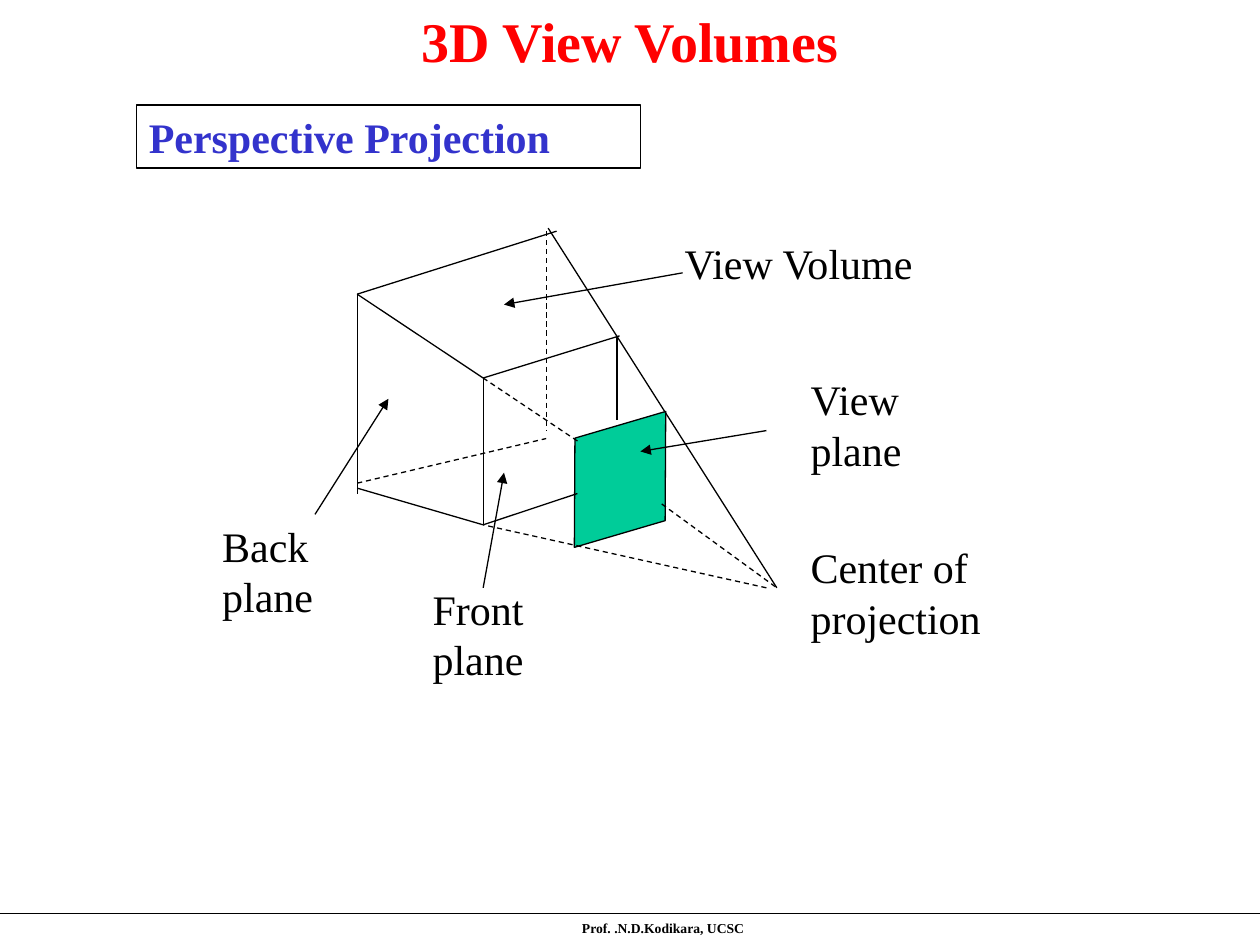
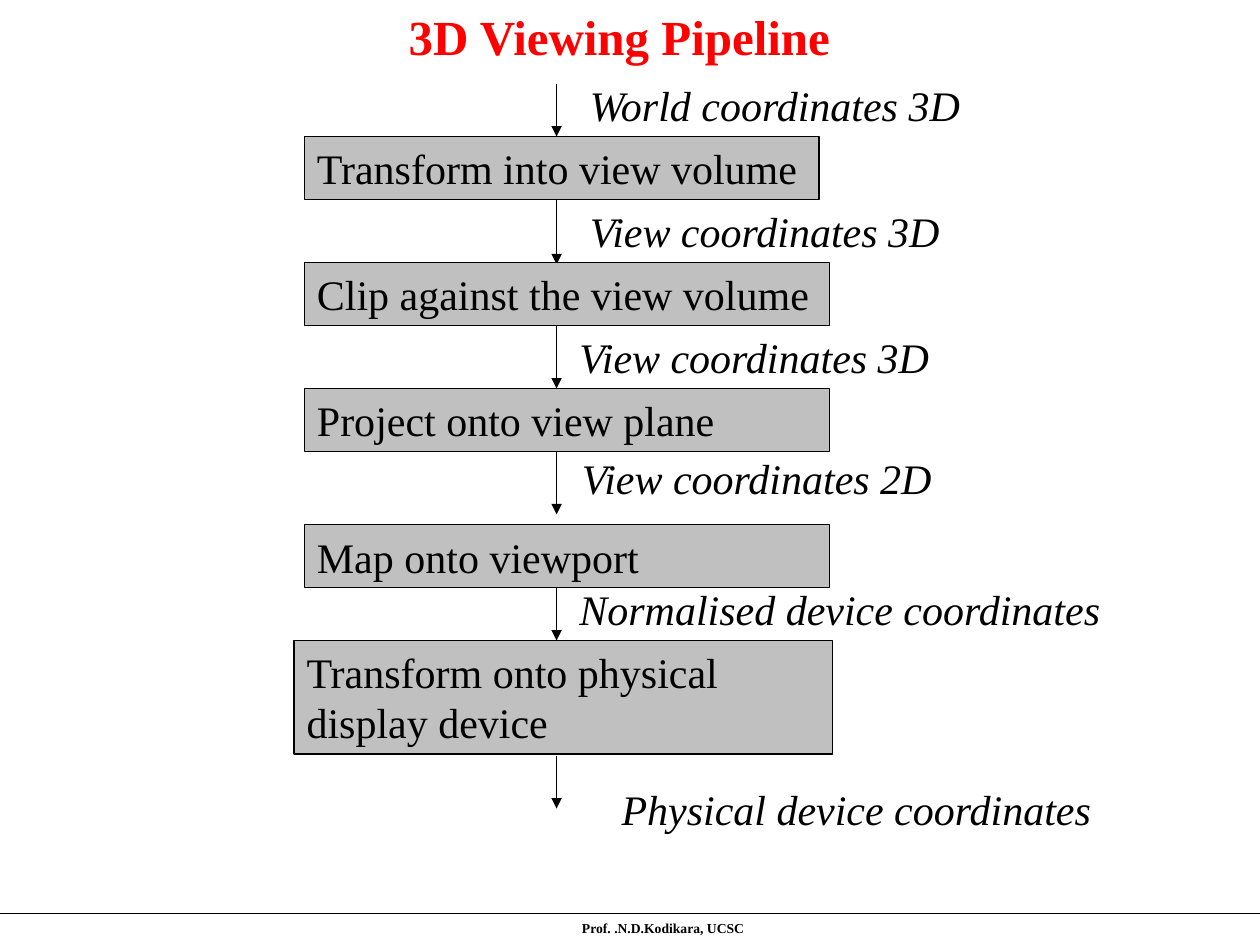
from lxml import etree
from pptx import Presentation
from pptx.dml.color import RGBColor
from pptx.enum import dml, shapes, text
from pptx.oxml import ns
from pptx.util import Cm, Pt

THEME = {
    "face": "Times New Roman",
    "thin": 0.75,
    "ink": "000000",
    "plane": "00CC99",
    "stage": "C0C0C0",
    "head": {"size": 32, "color": "FF0000", "bold": True},
    "sub": {"size": 24, "color": "3333CC", "bold": True},
    "label": {"size": 24, "color": "000000", "bold": False},
    "coord": {"size": 24, "color": "000000", "italic": True},
    "foot": {"size": 7.8, "color": "000000", "bold": True},
}


def write(shape, words, style, place, align=text.PP_ALIGN.LEFT, **extra):
    """Place a shape (left, top, width, height in cm) and set its styled text."""
    for name, size in zip(("left", "top", "width", "height"), place):
        setattr(shape, name, Cm(size))
    frame = shape.text_frame
    frame.text = words
    frame.word_wrap = True
    frame.auto_size = text.MSO_AUTO_SIZE.NONE
    frame.vertical_anchor = text.MSO_ANCHOR.TOP
    para = frame.paragraphs[0]
    para.alignment = align
    look = {**THEME[style], **extra, "name": THEME["face"]}
    look["size"] = Pt(look["size"])
    para.font.color.rgb = RGBColor.from_string(look.pop("color"))
    for name, value in look.items():
        setattr(para.font, name, value)


def draw(slide, ends, dash=False, arrow=False):
    """Draw a thin straight line between (x1, y1, x2, y2) in cm."""
    line = slide.shapes.add_connector(
        shapes.MSO_CONNECTOR.STRAIGHT, *[Cm(end) for end in ends])
    line.line.color.rgb = RGBColor.from_string(THEME["ink"])
    line.line.width = Pt(THEME["thin"])
    if dash:
        line.line.dash_style = dml.MSO_LINE.DASH
    if arrow:
        tail = etree.SubElement(line.line._get_or_add_ln(), ns.qn("a:tailEnd"))
        tail.set("type", "triangle")
    etree.SubElement(line.element.spPr, ns.qn("a:effectLst"))
    return line


deck = Presentation()
deck.slide_width, deck.slide_height = Cm(25.4), Cm(19.05)
layout = deck.slide_layouts[5]
volume = deck.slides.add_slide(layout)
pipe = deck.slides.add_slide(layout)
centre = text.PP_ALIGN.CENTER

# Footer shared through the layout
rule = draw(volume, (0, 18.41, 25.4, 18.41))
foot = volume.shapes.add_textbox(0, 0, 0, 0)
write(foot, "Prof. .N.D.Kodikara, UCSC", "foot",
      (1.94, 18.41, 22.86, 0.64), centre)
for part in (rule, foot):
    layout.shapes.element.append(part.element)

# Slide 1: view volume
write(volume.shapes.title, "3D View Volumes", "head",
      (4.02, 0, 17.36, 1.63), centre)

frame = volume.shapes.add_shape(shapes.MSO_SHAPE.RECTANGLE, 0, 0, 0, 0)
write(frame, "Perspective Projection", "sub", (2.75, 2.12, 10.16, 1.27))
frame.fill.background()

plane = volume.shapes.add_shape(
    shapes.MSO_SHAPE.PARALLELOGRAM, Cm(11.23), Cm(8.61), Cm(2.54), Cm(2.11))
plane.adjustments[0] = 0.3
plane.rotation = 343.6
plane.fill.solid()
plane.fill.fore_color.rgb = RGBColor.from_string(THEME["plane"])

for shape in (frame, plane):
    shape.shadow.inherit = False
    shape.line.color.rgb = RGBColor.from_string(THEME["ink"])
    shape.line.width = Pt(THEME["thin"])

# Corners on the left edges of the front and back planes
front_top, front_low = (9.74, 7.62), (9.74, 10.58)
back_top = (7.2, 5.93)
eye = (15.66, 11.85)

solid = [
    (*eye, 11.05, 4.6),
    (*front_top, *front_low),
    (*front_top, 12.49, 6.77),
    (12.44, 6.77, 12.44, 8.47),
    (*front_low, 11.64, 9.95),
    (*front_top, *back_top),
    (*front_low, 7.2, 9.84),
    (*back_top, 7.2, 9.95),
    (*back_top, 11.22, 4.66),
]
hidden = [
    (11.64, 8.89, *front_top),
    (13.34, 10.16, *eye),
    (15.45, 11.85, *front_low),
    (7.2, 9.74, 11.01, 8.84),
    (11.01, 4.66, 11.01, 8.68),
]
for ends in solid:
    draw(volume, ends)
for ends in hidden:
    draw(volume, ends, dash=True)

# Each label with its pointer; the eye point needs none
labels = [
    ("View Volume", (13.55, 4.66, 5.93, 1.27), (13.76, 5.5, 10.16, 6.14)),
    ("View plane", (16.09, 7.41, 3.18, 2.29), (15.45, 8.68, 12.91, 9.1)),
    ("Center of projection", (16.09, 10.8, 6.77, 2.29), None),
    ("Front plane", (8.47, 11.64, 3.39, 2.29), (9.74, 11.85, 10.16, 9.53)),
    ("Back plane", (4.23, 10.37, 3.6, 2.29), (6.35, 10.37, 7.83, 8.04)),
]
for words, place, ends in labels:
    write(volume.shapes.add_textbox(0, 0, 0, 0), words, "label", place)
    if ends:
        draw(volume, ends, arrow=True)

# Slide 2: pipeline
write(pipe.shapes.title, "3D Viewing Pipeline", "head",
      (4.02, 0, 16.93, 1.45), centre, size=28)

axis = 11.22
# Arrow start and tip, then the label's left, top and width
flows = [
    ("World coordinates 3D", (1.69, 2.75), (11.64, 1.48, 9.31)),
    ("View coordinates 3D", (4.02, 5.33), (11.64, 4.02, 9.31)),
    ("View coordinates 3D", (6.56, 7.83), (11.43, 6.56, 9.31)),
    ("View coordinates 2D", (9.1, 10.37), (11.48, 8.99, 9.31)),
    ("Normalised device coordinates", (11.85, 12.91), (11.43, 11.64, 11.85)),
    ("Physical device coordinates", (15.24, 16.3), (12.28, 15.66, 11)),
]
for words, (start, tip), place in flows:
    draw(pipe, (axis, start, axis, tip), arrow=True)
    write(pipe.shapes.add_textbox(0, 0, 0, 0), words, "coord", (*place, 1.27))

stages = [
    ("Transform into view volume", (6.14, 2.75, 10.37, 1.27)),
    ("Clip against the view volume", (6.14, 5.29, 10.58, 1.27)),
    ("Project onto view plane", (6.14, 7.83, 10.58, 1.27)),
    ("Map onto viewport", (6.14, 10.58, 10.58, 1.27)),
    ("Transform onto physical display device", (5.93, 12.91, 10.85, 2.29)),
]
for words, place in stages:
    box = pipe.shapes.add_shape(shapes.MSO_SHAPE.RECTANGLE, 0, 0, 0, 0)
    write(box, words, "label", place)
    box.shadow.inherit = False
    box.fill.solid()
    box.fill.fore_color.rgb = RGBColor.from_string(THEME["stage"])
    box.line.color.rgb = RGBColor.from_string(THEME["ink"])
    box.line.width = Pt(THEME["thin"])

deck.save("out.pptx")
